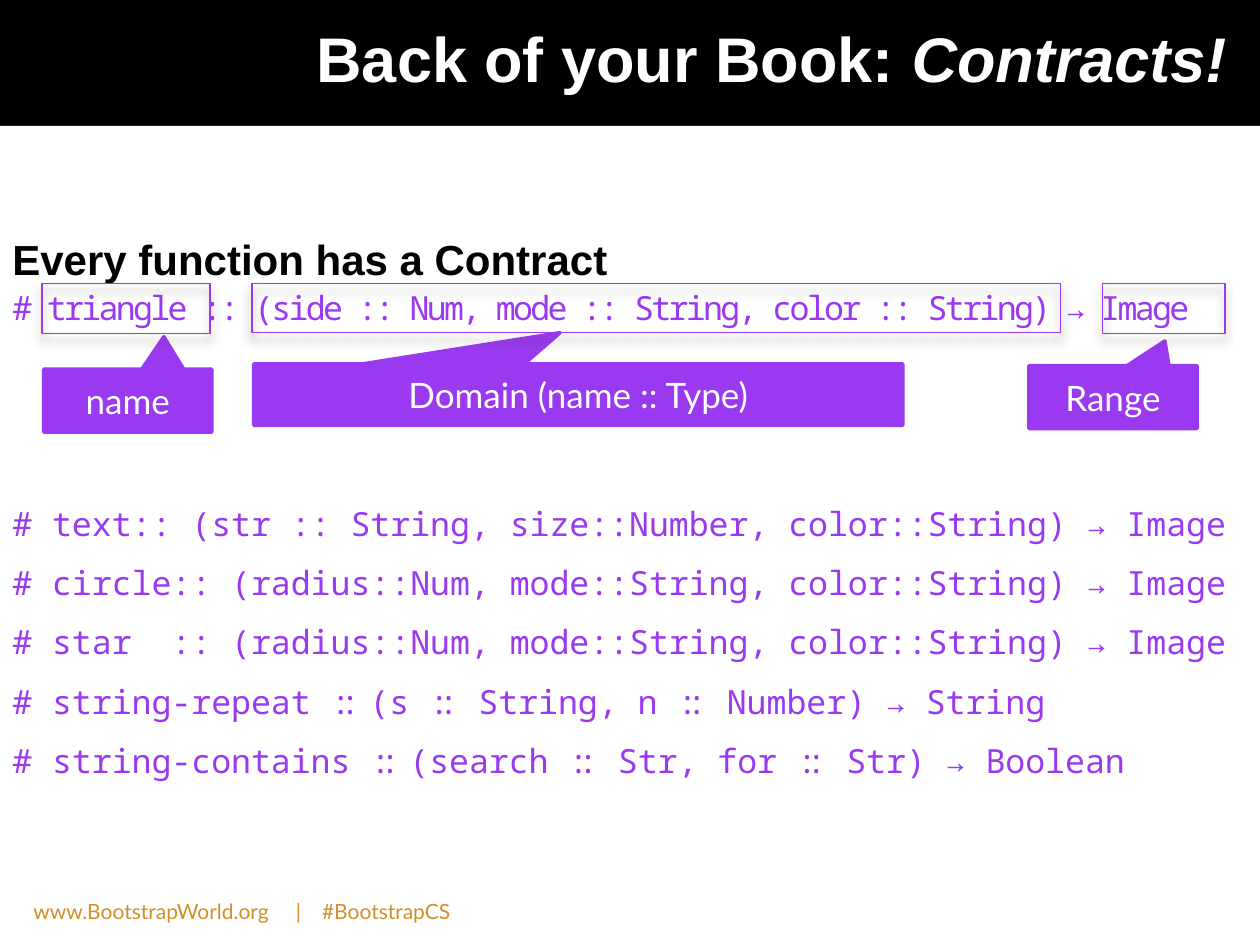
from lxml import etree
from pptx import Presentation
from pptx.dml.color import RGBColor
from pptx.enum.shapes import MSO_SHAPE
from pptx.enum.text import MSO_ANCHOR, PP_ALIGN
from pptx.oxml.ns import qn
from pptx.util import Pt

RECT, CALLOUT = MSO_SHAPE.RECTANGLE, MSO_SHAPE.RECTANGULAR_CALLOUT
MIDDLE = MSO_ANCHOR.MIDDLE
CENTER, RIGHT = PP_ALIGN.CENTER, PP_ALIGN.RIGHT
BLACK = RGBColor(0x00, 0x00, 0x00)
WHITE = RGBColor(0xFF, 0xFF, 0xFF)
PURPLE = RGBColor(0x99, 0x39, 0xF0)
GOLD = RGBColor(0xD3, 0x8E, 0x27)
SHADOW = RGBColor(0x4E, 0x3B, 0x30)
SANS, LABEL, MONO = "Arial", "Lato", "Noto Sans Mono"

TRIANGLE = "# triangle :: (side :: Num, mode :: String, color :: String) → Image"
CONTRACTS = [
    [("# text:: (str :: String, size::Number, color::String) → Image", 0)],
    [("# circle:: (radius::Num, mode::String, color::String) → Image", 0)],
    [("# star  :: (radius::Num, mode::String, color::String) → Image", 0)],
    [("# string-repeat ", 0), (":: ", -6), ("(s ", 0), ("::", -6),
     (" String, n ", 0), ("::", -6), (" Number) → String", 0)],
    [("# string-contains ", 0), (":: ", -6), ("(search ", 0), ("::", -6),
     (" Str, for ", 0), ("::", -6), (" Str) → Boolean", 0)],
]
PARTS = [
    ("name", (25, 211, 96, 36), (0.215, -1.016), (24, 162, 96, 28.5)),
    ("Domain (name :: Type)", (145, 208, 371, 35), (-0.028, -1.012),
     (144, 162, 462, 28)),
    ("Range", (588, 209, 96, 36), (0.309, -0.893), (630, 162, 70, 28.5)),
]


def style(p, font, size, color, bold=False):
    """Set the font of a whole paragraph."""
    p.font.name, p.font.size, p.font.bold = font, Pt(size), bold
    p.font.color.rgb = color


def add_text(slide, box):
    """Add a wrapping text box and return its text frame."""
    tf = slide.shapes.add_textbox(*map(Pt, box)).text_frame
    tf.word_wrap = True
    return tf


def add_run(p, text, spacing=0):
    """Add a run with the given letter spacing in points."""
    r = p.add_run()
    r.text = text
    if spacing:
        r.font._element.set("spc", str(round(spacing * 100)))
    return r


def add_shape(slide, kind, box):
    """Add a preset shape without the theme shadow."""
    sp = slide.shapes.add_shape(kind, *map(Pt, box))
    sp.shadow.inherit = False
    return sp


def add_title(slide, box):
    """Place the right-aligned title."""
    tf = add_text(slide, box)
    tf.vertical_anchor = MIDDLE
    p = tf.paragraphs[0]
    p.alignment = RIGHT
    add_run(p, "Back of your Book: ")
    add_run(p, "Contracts!").font.italic = True
    style(p, SANS, 36, WHITE, True)


def add_example(slide, box):
    """Place the heading and the annotated contract."""
    tf = add_text(slide, box)
    p = tf.paragraphs[0]
    p.text = "Every function has a Contract"
    style(p, SANS, 24, BLACK, True)
    p = tf.add_paragraph()
    p.space_before = Pt(2)
    add_run(p, TRIANGLE, -1.5)
    style(p, MONO, 19, PURPLE)


def add_contracts(slide, box):
    """Place the list of contracts."""
    tf = add_text(slide, box)
    for i, pieces in enumerate(CONTRACTS):
        p = tf.add_paragraph() if i else tf.paragraphs[0]
        p.line_spacing = 1.3
        p.space_before = Pt(4.3 if i else 0)
        for text, spacing in pieces:
            add_run(p, text, spacing)
        style(p, MONO, 19, PURPLE)


def add_callout(slide, text, box, tip):
    """Place a filled label whose tip points at part of the contract."""
    sp = add_shape(slide, CALLOUT, box)
    sp.adjustments[0], sp.adjustments[1] = tip
    sp.fill.solid()
    sp.fill.fore_color.rgb = PURPLE
    sp.line.color.rgb, sp.line.width = PURPLE, Pt(2)
    sp.text_frame.vertical_anchor = MIDDLE
    p = sp.text_frame.paragraphs[0]
    p.text, p.alignment = text, CENTER
    style(p, LABEL, 20, WHITE)


def add_outline(slide, box):
    """Place a thin frame with a soft shadow below it."""
    sp = add_shape(slide, RECT, box)
    sp.fill.background()
    sp.line.color.rgb, sp.line.width = PURPLE, Pt(0.79)
    effects = sp._element.spPr.find(qn("a:effectLst"))
    shadow = etree.SubElement(effects, qn("a:outerShdw"), blurRad=str(Pt(6)),
                              dist=str(Pt(4)), dir="5400000", rotWithShape="0")
    color = etree.SubElement(shadow, qn("a:srgbClr"), val=str(SHADOW))
    etree.SubElement(color, qn("a:alpha"), val="60000")


def add_footer(slide, box):
    """Place the footer, with tab stops between its parts."""
    p = add_text(slide, box).paragraphs[0]
    add_run(p, "www.BootstrapWorld.org\t|\t#BootstrapCS")
    tabs = etree.SubElement(p._p.get_or_add_pPr(), qn("a:tabLst"))
    for stop in (150, 165):
        etree.SubElement(tabs, qn("a:tab"), pos=str(Pt(stop)), algn="l")
    style(p, LABEL, 12, GOLD)


def main():
    """Build the contracts slide."""
    prs = Presentation()
    prs.slide_width, prs.slide_height = Pt(720), Pt(540)
    slide = prs.slides.add_slide(prs.slide_layouts[6])
    slide.background.fill.solid()
    slide.background.fill.fore_color.rgb = BLACK
    page = add_shape(slide, RECT, (0, 72, 720, 468))
    page.fill.solid()
    page.fill.fore_color.rgb = WHITE
    page.line.fill.background()
    add_title(slide, (24, 0, 684, 66))
    add_example(slide, (0, 130, 720, 62))
    add_contracts(slide, (0, 277, 720, 200))
    add_footer(slide, (12, 510, 294, 20))
    for text, box, tip, frame in PARTS:
        add_callout(slide, text, box, tip)
        add_outline(slide, frame)
    prs.save("out.pptx")


if __name__ == "__main__":
    main()
